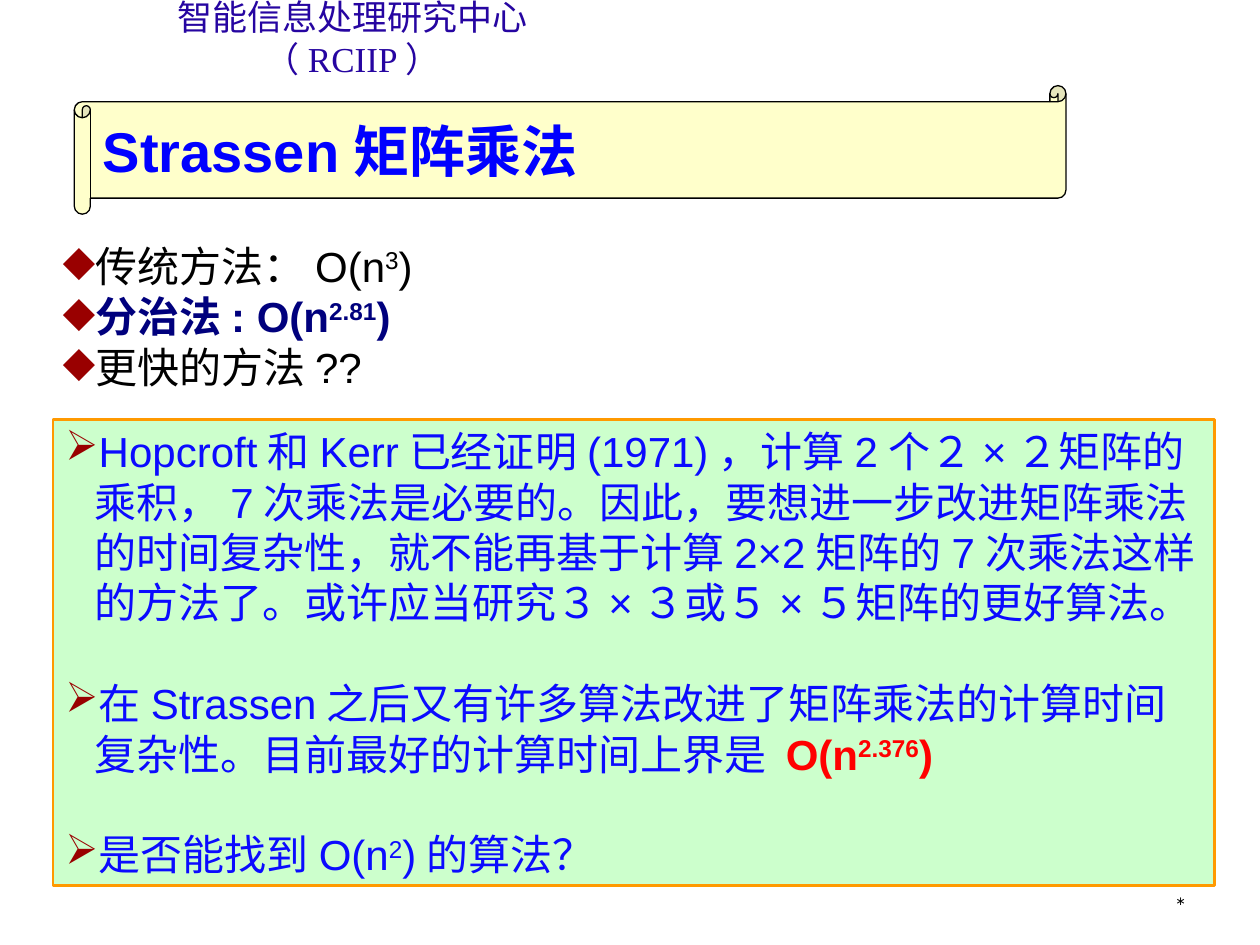
from lxml import etree
from pptx import Presentation, util as u
from pptx.dml.color import RGBColor
from pptx.enum import shapes, text
from pptx.oxml import ns

WHITE_YELLOW = RGBColor(0xFF, 0xFF, 0x99)
MINT = RGBColor(0xCC, 0xFF, 0xCC)
ORANGE = RGBColor(0xFF, 0x99, 0x00)
BLACK = RGBColor(0, 0, 0)
PURPLE = RGBColor(0x26, 0x05, 0xA1)
NAVY = RGBColor(0, 0, 0x7D)
BLUE = RGBColor(0, 0, 0xFF)
SOFT_BLUE = RGBColor(0x0B, 0x0B, 0xFF)
RED = RGBColor(0xFF, 0, 0)
MAROON = RGBColor(0x99, 0, 0)

WIDTH, HEIGHT = u.Inches(10), u.Inches(7.5)
COLS, ROWS = 100, 75
HANG = u.Inches(0.23)


def grid(left, top, cols, rows):
    """Turn grid columns and rows into a box of slide lengths."""
    x, y = WIDTH / COLS, HEIGHT / ROWS
    return [round(v) for v in (left * x, top * y, cols * x, rows * y)]


def add_run(p, words, color, size=24, name="Arial", bold=False, raised=False):
    """Add one formatted run to a paragraph."""
    r = p.add_run()
    r.text = words
    for key, value in {"size": u.Pt(size), "name": name, "bold": bold}.items():
        setattr(r.font, key, value)
    r.font.color.rgb = color
    if raised:
        r._r.get_or_add_rPr().set("baseline", "30000")


def add_bullet(p, char):
    """Give a paragraph a hanging maroon bullet."""
    pPr = p._p.get_or_add_pPr()
    pPr.set("marL", str(HANG))
    pPr.set("indent", str(-HANG))
    clr = etree.SubElement(pPr, ns.qn("a:buClr"))
    etree.SubElement(clr, ns.qn("a:srgbClr")).set("val", str(MAROON))
    etree.SubElement(pPr, ns.qn("a:buChar")).set("char", char)


def fill_list(tf, char, items, gap=0):
    """Write bulleted items, each a colour, a weight and a row of parts."""
    for i, (color, bold, parts) in enumerate(items):
        p = tf.paragraphs[0] if i == 0 else tf.add_paragraph()
        p.alignment = text.PP_ALIGN.LEFT
        add_bullet(p, char)
        if i and gap:
            p.space_before = u.Pt(gap)
        for part in parts:
            if isinstance(part, tuple):
                add_run(p, part[0], RED, bold=True, raised=part[1])
            else:
                raised = part[0].isdigit() and part.replace(".", "").isdigit()
                add_run(p, part, color, bold=bold, raised=raised)


def add_panel(s, kind, box, fill, line, weight):
    """Add a filled and outlined shape and return it."""
    sp = s.shapes.add_shape(kind, *box)
    sp.shadow.inherit = False
    sp.fill.solid()
    sp.fill.fore_color.rgb = fill
    sp.line.color.rgb = line
    sp.line.width = u.Pt(weight)
    sp.text_frame.word_wrap = True
    return sp


def add_label(s, box, align, anchor, runs, wrap=True):
    """Place one line of text in a box."""
    tf = s.shapes.add_textbox(*box).text_frame
    tf.word_wrap = wrap
    tf.vertical_anchor = anchor
    p = tf.paragraphs[0]
    p.alignment = align
    for words, color, size, name in runs:
        add_run(p, words, color, size, name)


def add_title(s, box):
    """Place the title on a half-transparent scroll."""
    sp = add_panel(s, shapes.MSO_SHAPE.HORIZONTAL_SCROLL, box, WHITE_YELLOW, BLACK, 0.75)
    clr = sp._element.spPr.find(ns.qn("a:solidFill"))[0]
    etree.SubElement(clr, ns.qn("a:alpha")).set("val", "50000")
    sp.text_frame.vertical_anchor = text.MSO_ANCHOR.MIDDLE
    p = sp.text_frame.paragraphs[0]
    p.alignment = text.PP_ALIGN.LEFT
    add_run(p, "Strassen矩阵乘法", BLUE, 32, bold=True)


def add_methods(s, box):
    """Place the list of methods and their costs."""
    tf = s.shapes.add_textbox(*box).text_frame
    tf.word_wrap = False
    fill_list(tf, "◆", [
        (BLACK, False, ["传统方法：O(n", "3", ")"]),
        (NAVY, True, ["分治法: O(n", "2.81", ")"]),
        (BLACK, False, ["更快的方法??"]),
    ])


def add_findings(s, box):
    """Place the framed panel of research findings."""
    sp = add_panel(s, shapes.MSO_SHAPE.RECTANGLE, box, MINT, ORANGE, 1.5)
    tf = sp.text_frame
    tf.vertical_anchor = text.MSO_ANCHOR.TOP
    fill_list(tf, "➢", [
        (SOFT_BLUE, False, [
            "Hopcroft和Kerr已经证明(1971)，计算2个２×２矩阵的乘积，7次乘法是必要的。"
            "因此，要想进一步改进矩阵乘法的时间复杂性，就不能再基于计算2×2矩阵的7次乘法"
            "这样的方法了。或许应当研究３×３或５×５矩阵的更好算法。"]),
        (SOFT_BLUE, False, [
            "在Strassen之后又有许多算法改进了矩阵乘法的计算时间复杂性。"
            "目前最好的计算时间上界是 ",
            ("O(n", False), ("2.376", True), (")", False)]),
        (SOFT_BLUE, False, ["是否能找到O(n", "2", ")的算法？"]),
    ], gap=28.8)


def main():
    """Build the slide and save it."""
    prs = Presentation()
    prs.slide_width, prs.slide_height = WIDTH, HEIGHT
    s = prs.slides.add_slide(prs.slide_layouts[6])
    add_label(s, grid(7.5, 0, 41, 6), text.PP_ALIGN.CENTER, text.MSO_ANCHOR.MIDDLE,
              [("智能信息处理研究中心", PURPLE, 20, "Arial"),
               ("（RCIIP）", PURPLE, 20, "Times New Roman")], wrap=False)
    add_label(s, grid(71.7, 68.3, 23.3, 5), text.PP_ALIGN.RIGHT, text.MSO_ANCHOR.BOTTOM,
              [("*", BLACK, 12, "Montserrat")])
    add_methods(s, grid(4, 18.6, 30.5, 13))
    add_findings(s, grid(4.2, 33.3, 92.2, 37))
    add_title(s, grid(5.9, 6.8, 78.7, 10.2))
    prs.save("out.pptx")


if __name__ == "__main__":
    main()
